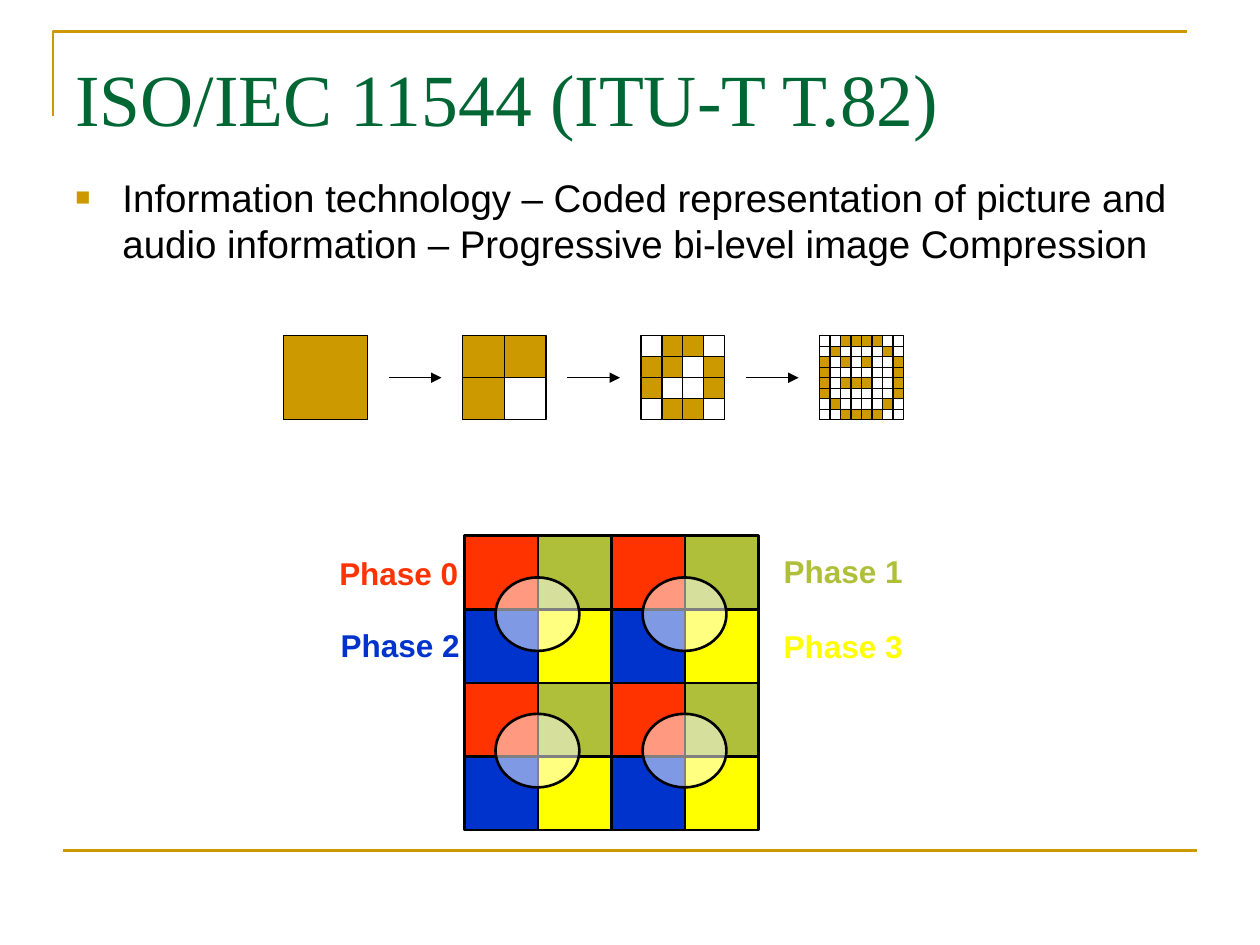
from lxml import etree
from pptx import Presentation
from pptx.dml.color import RGBColor
from pptx.enum.shapes import MSO_CONNECTOR, MSO_SHAPE
from pptx.enum.text import MSO_ANCHOR
from pptx.oxml.ns import qn
from pptx.util import Cm, Pt

RECTANGLE = MSO_SHAPE.RECTANGLE
OVAL = MSO_SHAPE.OVAL
STRAIGHT = MSO_CONNECTOR.STRAIGHT
TOP = MSO_ANCHOR.TOP

GOLD = RGBColor(0xCC, 0x99, 0x00)
GREEN = RGBColor(0x00, 0x66, 0x33)
BLACK = RGBColor(0x00, 0x00, 0x00)
WHITE = RGBColor(0xFF, 0xFF, 0xFF)
RED = RGBColor(0xFF, 0x33, 0x00)
OLIVE = RGBColor(0xAF, 0xBF, 0x39)
BLUE = RGBColor(0x00, 0x33, 0xCC)
YELLOW = RGBColor(0xFF, 0xFF, 0x00)

TITLE = "ISO/IEC 11544 (ITU-T T.82)"
SUMMARY = ("Information technology – Coded representation of picture and "
           "audio information – Progressive bi-level image Compression")
BITMAPS = [
    ["#"],
    ["##", "#."],
    [".##.", "##.#", "#..#", ".##."],
    ["..####..", ".#....#.", "#.#.#..#", "#......#",
     "#.###..#", "#......#", ".#....#.", "..####.."],
]
PHASE_COLOURS = [[RED, OLIVE], [BLUE, YELLOW]]
PHASE_LABELS = [
    ("Phase 0", RED, -2.77, 0.25),
    ("Phase 2", BLUE, -2.74, 1.7),
    ("Phase 1", OLIVE, 6.19, 0.2),
    ("Phase 3", YELLOW, 6.19, 1.72),
]


def add_child(parent, tag, **attributes):
    return etree.SubElement(parent, qn(tag), attributes)


def add_figure(page, kind, left, top, width, height, fill, weight):
    figure = page.shapes.add_shape(kind, Cm(left), Cm(top), Cm(width), Cm(height))
    figure.shadow.inherit = False
    if fill is None:
        figure.fill.background()
    else:
        figure.fill.solid()
        figure.fill.fore_color.rgb = fill
    figure.line.color.rgb = BLACK
    figure.line.width = Pt(weight)
    return figure


def add_line(page, left, top, length, colour, weight):
    line = page.shapes.add_connector(
        STRAIGHT, Cm(left), Cm(top), Cm(left + length), Cm(top))
    line.line.color.rgb = colour
    line.line.width = Pt(weight)
    add_child(line._element.spPr, "a:effectLst")
    return line


def add_text(page, left, top, width, height, text, font, size, colour,
             bold=False, wrap=True):
    box = page.shapes.add_textbox(Cm(left), Cm(top), Cm(width), Cm(height))
    box.text_frame.word_wrap = wrap
    box.text_frame.vertical_anchor = TOP
    box.text_frame.text = text
    para = box.text_frame.paragraphs[0]
    span = para.runs[0]
    span.font.name = font
    span.font.size = Pt(size)
    span.font.bold = bold
    span.font.color.rgb = colour
    return para


def add_frame(page, left, top, width):
    builder = page.shapes.build_freeform(Cm(left), Cm(top + 1.7))
    builder.add_line_segments(
        [(Cm(left), Cm(top)), (Cm(left + width), Cm(top))], close=False)
    corner = builder.convert_to_shape()
    corner.shadow.inherit = False
    corner.fill.background()
    corner.line.color.rgb = GOLD
    corner.line.width = Pt(1.5)
    add_line(page, left + 0.2, top + 16.51, width, GOLD, 1.5)


def add_heading(page, left, top, width):
    add_text(page, left, top, width, 3, TITLE, "Times New Roman", 42, GREEN)


def add_summary(page, left, top, width):
    para = add_text(page, left, top, width, 2.6, SUMMARY, "Arial", 22, BLACK)
    para.space_before = Pt(5.5)
    para.line_spacing = Pt(26.3)
    properties = para._p.get_or_add_pPr()
    properties.set("marL", str(Cm(0.95)))
    properties.set("indent", str(-Cm(0.95)))
    add_child(add_child(properties, "a:buClr"), "a:srgbClr", val=str(GOLD))
    add_child(properties, "a:buSzPct", val="65000")
    add_child(properties, "a:buFont", typeface="Arial")
    add_child(properties, "a:buChar", char="■")


def add_bitmap(page, left, top, side, rows):
    cell = side / len(rows)
    for row, pattern in enumerate(rows):
        for column, mark in enumerate(pattern):
            add_figure(page, RECTANGLE, left + column * cell, top + row * cell,
                       cell, cell, GOLD if mark == "#" else None, 0.75)


def add_progression(page, left, top, side):
    step = 3.6
    for index, rows in enumerate(BITMAPS):
        add_bitmap(page, left + index * step, top, side, rows)
    for index in range(len(BITMAPS) - 1):
        arrow = add_line(page, left + index * step + 2.12, top + side / 2,
                         1.06, BLACK, 0.75)
        add_child(arrow.line._get_or_add_ln(), "a:tailEnd", type="triangle")


def add_phases(page, left, top, side):
    cell = side / 4
    for row in range(4):
        for column in range(4):
            add_figure(page, RECTANGLE, left + column * cell, top + row * cell,
                       cell, cell, PHASE_COLOURS[row % 2][column % 2], 1.5)
    for row in range(2):
        for column in range(2):
            circle = add_figure(page, OVAL, left + 0.63 + column * 2 * cell,
                                top + 0.84 + row * 2.75, 1.69, cell, WHITE, 1.5)
            colour = circle._element.spPr.find(qn("a:solidFill"))[0]
            add_child(colour, "a:alpha", val="50000")
    for text, colour, across, down in PHASE_LABELS:
        add_text(page, left + across, top + down, 2.9, 1.02, text,
                 "Arial", 18, colour, bold=True, wrap=False)


def main():
    deck = Presentation()
    deck.slide_width = Cm(25.4)
    deck.slide_height = Cm(19.05)
    page = deck.slides.add_slide(deck.slide_layouts[6])
    add_frame(page, 1.07, 0.64, 22.86)
    add_heading(page, 1.27, 0.95, 22.86)
    add_summary(page, 1.27, 3.38, 22.86)
    add_phases(page, 9.36, 10.8, 5.93)
    add_progression(page, 5.72, 6.77, 1.69)
    deck.save("out.pptx")


if __name__ == "__main__":
    main()
